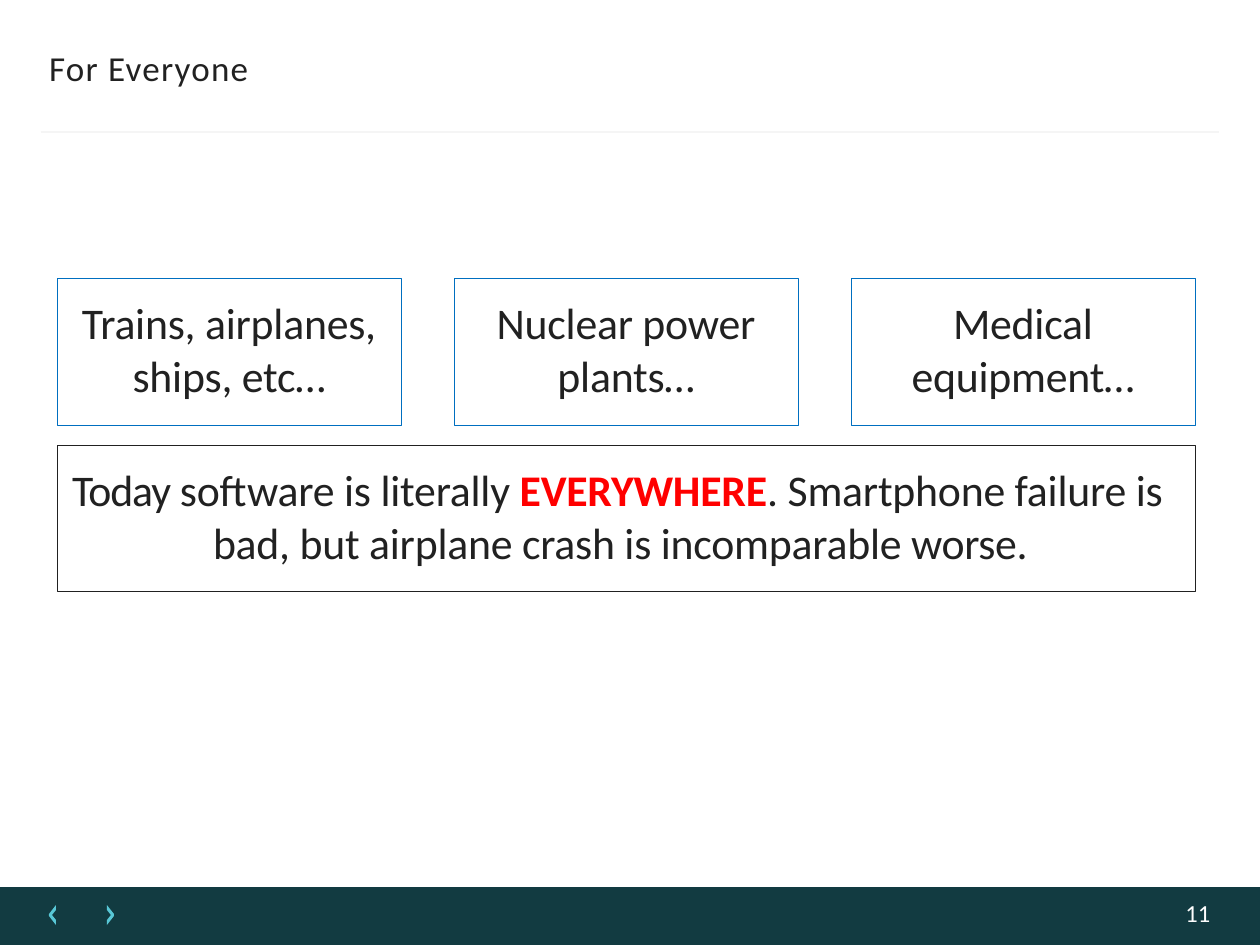
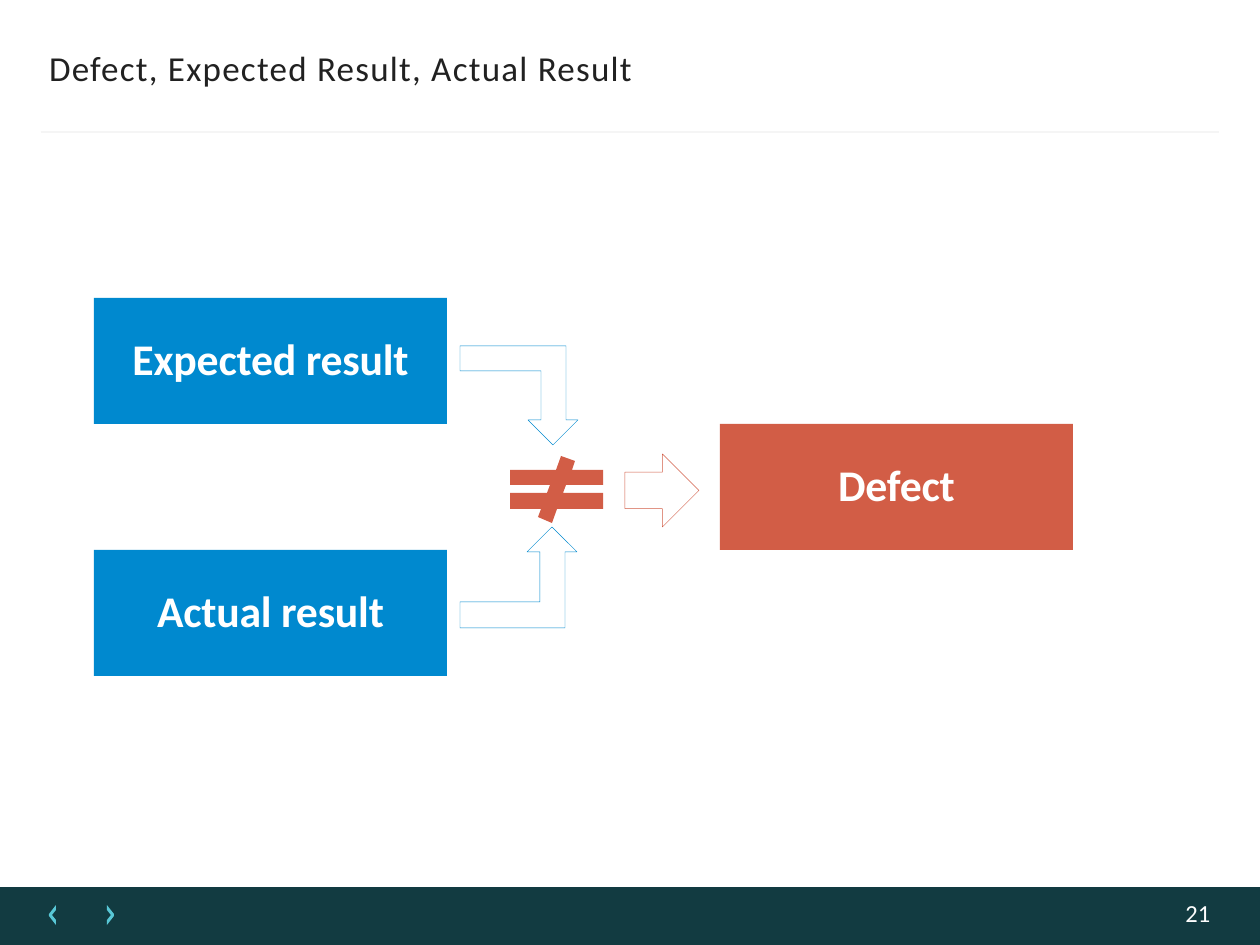
import pptx
import pptx.util
import pptx.dml.color
import pptx.enum.shapes
import pptx.enum.text
import pptx.oxml.ns
import lxml.etree

PX = 914400 / 126
COLORS = {
    "band": "123B41", "chevron": "58C7D6", "rule": "F5F5F5", "text": "212121",
    "number": "FDFDFD", "white": "FFFFFF", "outline": "006FC0",
    "blue": "0089CF", "red": "D25D46", "alert": "FF0000",
}
RGB = {name: pptx.dml.color.RGBColor.from_string(c) for name, c in COLORS.items()}
SHAPE = pptx.enum.shapes.MSO_SHAPE
ALIGN = pptx.enum.text.PP_ALIGN
BODY = {"size": 25, "color": "text", "bold": False, "spc": -10}
LABEL = {"size": 25, "color": "white", "bold": True, "spc": -10}
TITLE = {"size": 20, "color": "text", "bold": False, "spc": 70}
NUMBER = {"size": 14, "color": "number", "bold": False, "spc": 0}


def draw(s, outline, at=None, fill=None, line=None):
    if at:
        sp = s.shapes.add_shape(outline, *[round(v * PX) for v in at])
    else:
        fb = s.shapes.build_freeform(*outline[0][0], scale=PX)
        for i, contour in enumerate(outline):
            if i:
                fb.move_to(*contour[0])
            fb.add_line_segments(contour[1:], close=True)
        sp = fb.convert_to_shape()
    sp.shadow.inherit = False
    if fill:
        sp.fill.solid()
        sp.fill.fore_color.rgb = RGB[fill]
    else:
        sp.fill.background()
    if line:
        sp.line.color.rgb = RGB[line]
        sp.line.width = pptx.util.Pt(0.25)
    else:
        sp.line.fill.background()
    return sp


def write(sp, paragraphs, style, top=0, align=ALIGN.CENTER):
    tf = sp.text_frame
    frame = {"word_wrap": True, "auto_size": pptx.enum.text.MSO_AUTO_SIZE.NONE,
             "vertical_anchor": pptx.enum.text.MSO_ANCHOR.TOP,
             "margin_left": 0, "margin_right": 0, "margin_bottom": 0,
             "margin_top": round(top * PX)}
    for name, value in frame.items():
        setattr(tf, name, value)
    for i, runs in enumerate(paragraphs):
        p = tf.add_paragraph() if i else tf.paragraphs[0]
        p.alignment = align
        for text, changes in runs:
            look = {**style, **changes}
            r = p.add_run()
            r.text = text
            font = {"name": "Calibri", "size": pptx.util.Pt(look["size"]), "bold": look["bold"]}
            for name, value in font.items():
                setattr(r.font, name, value)
            r.font.color.rgb = RGB[look["color"]]
            r._r.get_or_add_rPr().set("spc", str(look["spc"]))
    return tf.paragraphs[0]


prs = pptx.Presentation()
prs.slide_width = pptx.util.Inches(10)
prs.slide_height = pptx.util.Inches(7.5)

left_chevron = [(56, 905), (49, 914), (49, 916), (56, 925), (56, 920), (52, 915), (56, 910)]
right_chevron = [(163 - x, y) for x, y in left_chevron]

slides = []
for title, number in [("For Everyone", "11"), ("Defect, Expected Result, Actual Result", "21")]:
    s = prs.slides.add_slide(prs.slide_layouts[5])
    slides.append(s)
    draw(s, SHAPE.RECTANGLE, (0, 887, 1260, 58), fill="band")
    draw(s, [left_chevron, right_chevron], fill="chevron")

    rule = s.shapes.add_connector(pptx.enum.shapes.MSO_CONNECTOR.STRAIGHT,
                                  *[round(v * PX) for v in (41, 132, 1219, 132)])
    rule.line.color.rgb = RGB["rule"]
    rule.line.width = pptx.util.Pt(1.5)
    lxml.etree.SubElement(rule._element.spPr, pptx.oxml.ns.qn("a:effectLst"))

    sp = s.shapes.title
    for name, v in {"left": 49, "top": 44, "width": 1160, "height": 46}.items():
        setattr(sp, name, round(v * PX))
    write(sp, [[(title, {})]], TITLE, top=3, align=ALIGN.LEFT)

    sp = s.shapes.add_textbox(*[round(v * PX) for v in (1180, 902, 36, 28)])
    p = write(sp, [[(number, {})]], NUMBER)
    p.line_spacing = pptx.util.Pt(14.3)

everyone, defect = slides

examples = [("Trains, airplanes,", "ships, etc…"), ("Nuclear power", "plants…"),
            ("Medical", "equipment…")]
for i, lines in enumerate(examples):
    sp = draw(everyone, SHAPE.RECTANGLE, (57 + 397 * i, 278, 344, 147), line="outline")
    write(sp, [[(text, {})] for text in lines], BODY, top=18)

sp = draw(everyone, SHAPE.RECTANGLE, (57, 445, 1138, 146), line="text")
p = write(sp, [[("Today ", {"spc": -60}), ("software is literally ", {}),
                ("EVERYWHERE", {"color": "alert", "bold": True}),
                (". Smartphone failure is bad, but airplane crash is incomparable ", {}),
                ("worse.", {"spc": -20})]], BODY, top=18, align=ALIGN.LEFT)
for name, v in {"marL": 156, "indent": -141}.items():
    p._p.get_or_add_pPr().set(name, str(round(v * PX)))

for text, x, y, fill in [("Expected result", 94, 298, "blue"), ("Actual result", 94, 550, "blue"),
                         ("Defect", 720, 424, "red")]:
    sp = draw(defect, SHAPE.RECTANGLE, (x, y, 353, 126), fill=fill)
    write(sp, [[(text, {})]], LABEL, top=34)

actual_arrow = [(460, 602), (540, 602), (540, 552), (527, 552), (552, 527),
                (577, 552), (565, 552), (565, 628), (460, 628)]
expected_arrow = [(460, 371), (541, 371), (541, 420), (528, 420), (553, 445),
                  (578, 420), (566, 420), (566, 346), (460, 346)]
for arrow in (actual_arrow, expected_arrow):
    draw(defect, [arrow], line="blue")

not_equal = [(561, 456), (556, 470), (510, 470), (510, 485), (550, 485), (547, 493),
             (510, 493), (510, 509), (541, 509), (538, 517), (552, 523), (557, 509),
             (603, 509), (603, 493), (563, 493), (566, 485), (603, 485), (603, 470),
             (572, 470), (575, 461)]
draw(defect, [not_equal], fill="red")
draw(defect, SHAPE.RIGHT_ARROW, (625, 454, 74, 73), line="red")

prs.save("out.pptx")
